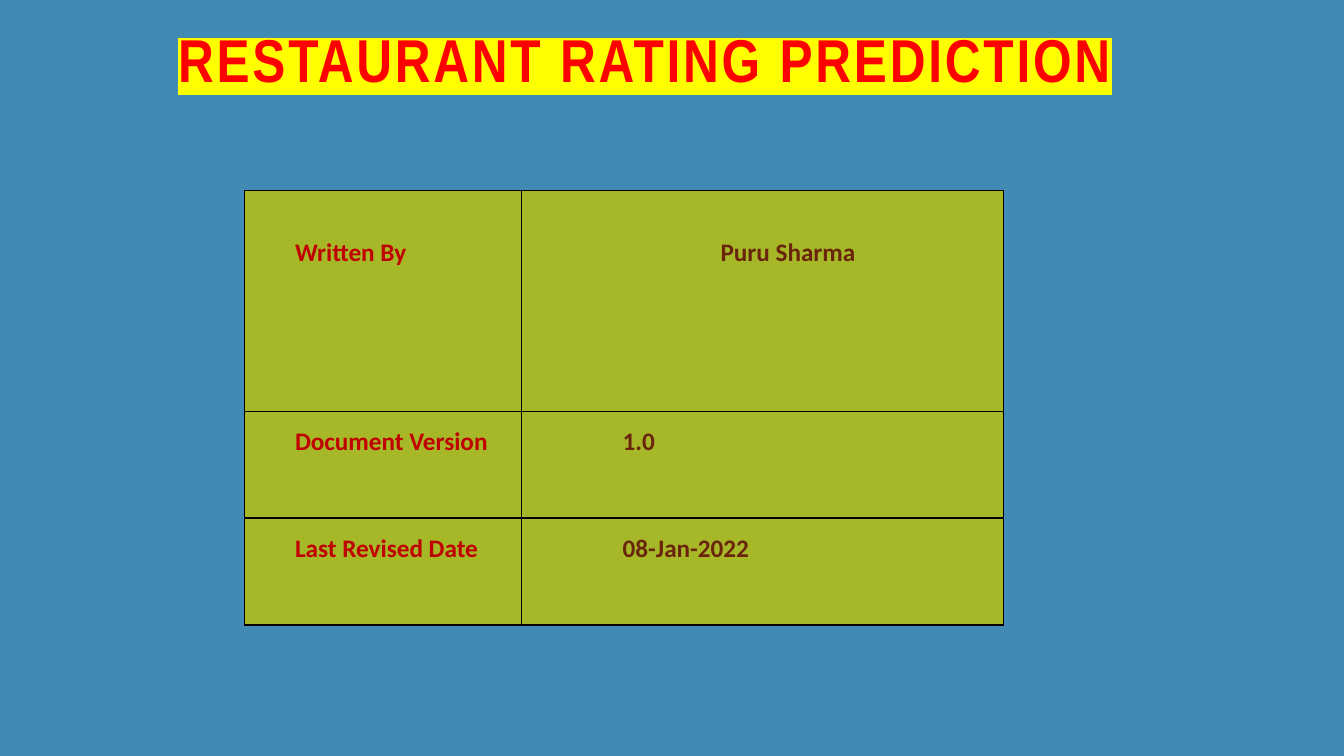
from dataclasses import dataclass

from lxml import etree
from pptx import Presentation
from pptx.dml.color import RGBColor
from pptx.enum.text import MSO_ANCHOR, MSO_AUTO_SIZE, PP_ALIGN
from pptx.oxml.ns import qn
from pptx.util import Inches, Pt

LEFT, MID, JUST = PP_ALIGN.LEFT, PP_ALIGN.CENTER, PP_ALIGN.JUSTIFY
CENTRE = MSO_ANCHOR.MIDDLE
NO_FIT = MSO_AUTO_SIZE.NONE
TITLE_ONLY = 5

COLORS = {
    "back": "418AB3",
    "title": "FF0000",
    "mark": "FFFF00",
    "cell": "A6B727",
    "label": "C00000",
    "value": "69240B",
    "edge": "000000",
}
WIDE, HIGH = 13.33, 7.5
COLS = (2.75, 4.78)
ROWS = (2.19, 1.06, 1.06)


@dataclass(frozen=True)
class Entry:
    """One table row: a label and its value."""
    label: str
    value: str
    align: PP_ALIGN = JUST
    indent: float = 1.0
    top: float = 0.0


ENTRIES = (
    Entry("Written By", "Puru Sharma", MID, 0.5, 0.31),
    Entry("Document Version", "1.0"),
    Entry("Last Revised Date", "08-Jan-2022"),
)


def place(shape, left: float, top: float, width: float, height: float) -> None:
    """Set a shape's place, given in shares of the slide."""
    shape.left, shape.width = Inches(left * WIDE), Inches(width * WIDE)
    shape.top, shape.height = Inches(top * HIGH), Inches(height * HIGH)


def style(run, face: str, size: float, color: str) -> None:
    font = run.font
    font.name, font.size, font.bold = face, Pt(size), True
    font.color.rgb = RGBColor.from_string(COLORS[color])


def add_edges(cell) -> None:
    """Draw a thin line on each side of a cell."""
    props = cell._tc.get_or_add_tcPr()
    for spot, side in enumerate(("lnL", "lnR", "lnT", "lnB")):
        line = etree.Element(qn(f"a:{side}"), w=str(Pt(1)))
        fill = etree.SubElement(line, qn("a:solidFill"))
        etree.SubElement(fill, qn("a:srgbClr"), val=COLORS["edge"])
        props.insert(spot, line)


def fill_cell(cell, text: str, color: str, align: PP_ALIGN,
              indent: float, top: float) -> None:
    cell.fill.solid()
    cell.fill.fore_color.rgb = RGBColor.from_string(COLORS["cell"])
    cell.margin_left = cell.margin_right = cell.margin_bottom = 0
    cell.margin_top = Inches(top)
    cell.text_frame.text = text
    para = cell.text_frame.paragraphs[0]
    para.alignment, para.line_spacing = align, 1.5
    props = para._p.get_or_add_pPr()
    props.set("marL", str(Inches(indent)))
    props.set("indent", "0")
    style(para.runs[0], "Calibri", 18, color)
    add_edges(cell)


def add_title(slide) -> None:
    title = slide.shapes.title
    place(title, 0.125, 0.032, 0.75, 0.108)
    frame = title.text_frame
    frame.text = "RESTAURANT RATING PREDICTION"
    frame.auto_size, frame.vertical_anchor = NO_FIT, CENTRE
    para = frame.paragraphs[0]
    para.alignment, para.line_spacing = LEFT, 0.8
    run = para.runs[0]
    style(run, "Arial Narrow", 43.2, "title")
    # Letter spacing and highlight
    props = run._r.get_or_add_rPr()
    props.set("spc", "200")
    mark = etree.Element(qn("a:highlight"))
    etree.SubElement(mark, qn("a:srgbClr"), val=COLORS["mark"])
    props.find(qn("a:solidFill")).addnext(mark)


def add_grid(slide) -> None:
    frame = slide.shapes.add_table(len(ROWS), len(COLS), 0, 0, 0, 0)
    place(frame, 0.182, 0.252, sum(COLS) / WIDE, sum(ROWS) / HIGH)
    table = frame.table
    for col, width in zip(table.columns, COLS):
        col.width = Inches(width)
    for row, height, entry in zip(table.rows, ROWS, ENTRIES):
        row.height = Inches(height)
        label, value = row.cells
        fill_cell(label, entry.label, "label", JUST, 0.5, entry.top)
        fill_cell(value, entry.value, "value", entry.align,
                  entry.indent, entry.top)


def main() -> None:
    deck = Presentation()
    deck.slide_width, deck.slide_height = Inches(WIDE), Inches(HIGH)
    slide = deck.slides.add_slide(deck.slide_layouts[TITLE_ONLY])
    # Background
    back = slide.background.fill
    back.solid()
    back.fore_color.rgb = RGBColor.from_string(COLORS["back"])
    # Content
    add_title(slide)
    add_grid(slide)
    deck.save("out.pptx")


if __name__ == "__main__":
    main()
